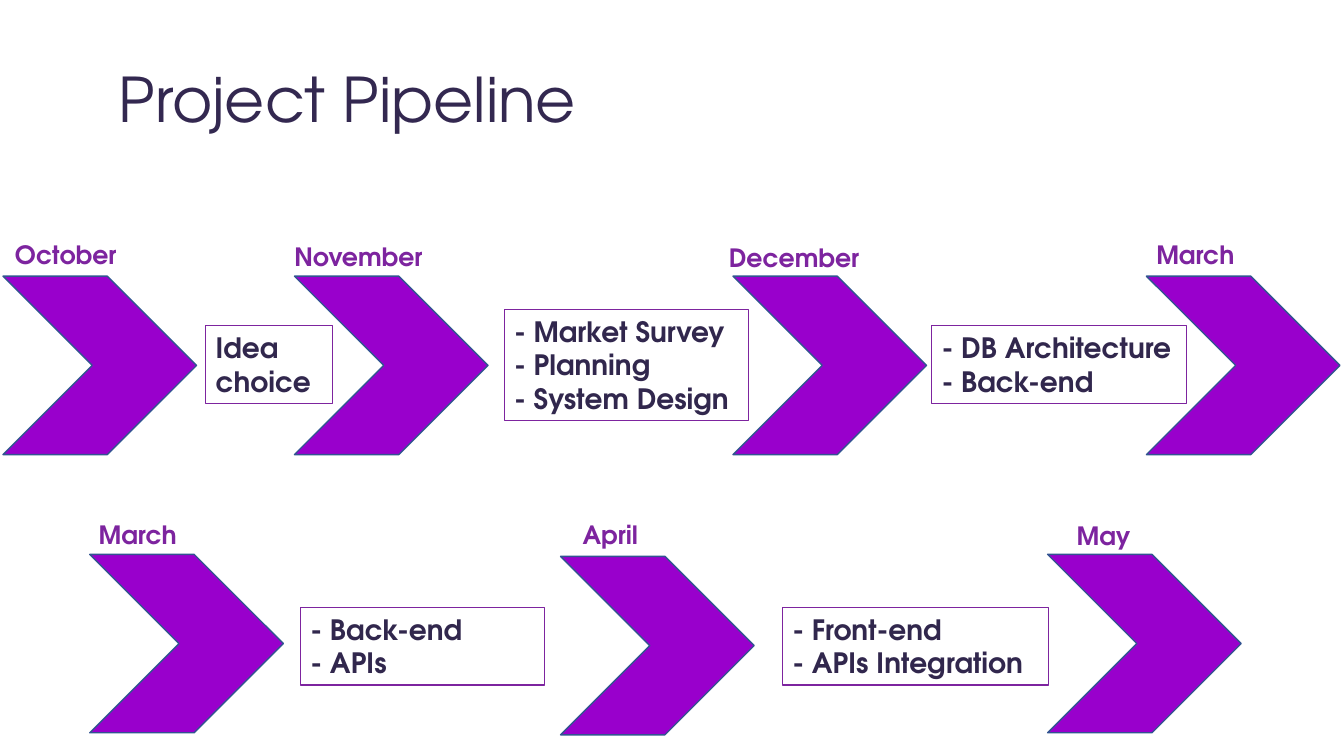
from pptx import Presentation
from pptx.dml.color import RGBColor
from pptx.enum.shapes import MSO_SHAPE
from pptx.enum.text import MSO_ANCHOR, MSO_AUTO_SIZE, PP_ALIGN
from pptx.util import Inches, Pt

INK = RGBColor(0x33, 0x28, 0x50)
TASK_INK = RGBColor(0x31, 0x27, 0x4D)
PLUM = RGBColor(0x7D, 0x24, 0x9F)
VIOLET = RGBColor(0x99, 0x00, 0xCC)
EDGE_BLUE = RGBColor(0x32, 0x54, 0x91)

# Month, label left, label top, label width, chevron left, chevron top
STAGES = [
    ("October", 0.5, 23.3, 15.1, 0.3, 27.4),
    ("November", 28.2, 23.4, 15.1, 29.2, 27.4),
    ("December", 71.3, 23.5, 17.9, 72.7, 27.4),
    ("March", 113.7, 23.3, 15.1, 113.7, 27.4),
    ("March", 8.8, 51, 15.1, 8.9, 55),
    ("April", 56.8, 51, 15.1, 55.6, 55.2),
    ("May", 105.8, 51.1, 11.5, 103.9, 55),
]

# Lines, left, vertical centre, width
TASKS = [
    (["Idea", "choice"], 20.4, 36.2, 12.6),
    (["- Market Survey", "- Planning", "- System Design"], 50, 36.2, 24.2),
    (["- DB Architecture", "- Back-end"], 92.4, 36.2, 25.3),
    (["- Back-end", "- APIs"], 29.8, 64.1, 24.2),
    (["- Front-end", "- APIs Integration"], 77.6, 64.1, 26.4),
]


class PipelinePage:
    """One slide on a grid whose square cells are a tenth of an inch."""

    cell = Inches(0.1)
    font = "TeX Gyre Adventor"
    chevron_size = (19.2, 17.7)
    label_height = 4
    task_padding, task_line = 1, 3.36

    def __init__(self, deck):
        self.page = deck.slides.add_slide(deck.slide_layouts[5])

    def place(self, *cells):
        return [round(value * self.cell) for value in cells]

    def add_lines(self, box, lines, size, colour, bold=True):
        frame = box.text_frame
        frame.word_wrap = True
        for index, line in enumerate(lines):
            para = frame.add_paragraph() if index else frame.paragraphs[0]
            para.alignment = PP_ALIGN.LEFT
            span = para.add_run()
            span.text = line
            span.font.name = self.font
            span.font.size = Pt(size)
            span.font.bold = bold
            span.font.color.rgb = colour

    def title(self, text, *cells):
        box = self.page.shapes.title
        box.left, box.top, box.width, box.height = self.place(*cells)
        self.add_lines(box, [text], 44, INK, bold=False)
        box.text_frame.vertical_anchor = MSO_ANCHOR.MIDDLE
        box.text_frame.paragraphs[0].line_spacing = 0.9

    def text_box(self, lines, size, colour, *cells):
        box = self.page.shapes.add_textbox(*self.place(*cells))
        self.add_lines(box, lines, size, colour)
        box.text_frame.auto_size = MSO_AUTO_SIZE.SHAPE_TO_FIT_TEXT
        return box

    def month(self, name, left, top, width):
        self.text_box([name], 18, PLUM, left, top, width, self.label_height)

    def chevron(self, left, top):
        arrow = self.page.shapes.add_shape(
            MSO_SHAPE.CHEVRON, *self.place(left, top, *self.chevron_size))
        arrow.shadow.inherit = False
        arrow.fill.solid()
        arrow.fill.fore_color.rgb = VIOLET
        arrow.line.color.rgb = EDGE_BLUE
        arrow.line.width = Pt(1)

    def task(self, lines, left, centre, width):
        height = self.task_padding + self.task_line * len(lines)
        box = self.text_box(lines, 20, TASK_INK,
                            left, centre - height / 2, width, height)
        box.line.color.rgb = PLUM
        box.line.width = Pt(0.75)


def main():
    deck = Presentation()
    deck.slide_width, deck.slide_height = Inches(13.33), Inches(7.5)
    pipeline = PipelinePage(deck)
    pipeline.title("Project Pipeline", 10.8, 5.5, 109.9, 9.4)
    for name, label_left, label_top, label_width, left, top in STAGES:
        pipeline.chevron(left, top)
        pipeline.month(name, label_left, label_top, label_width)
    for task in TASKS:
        pipeline.task(*task)
    deck.save("out.pptx")


if __name__ == "__main__":
    main()
